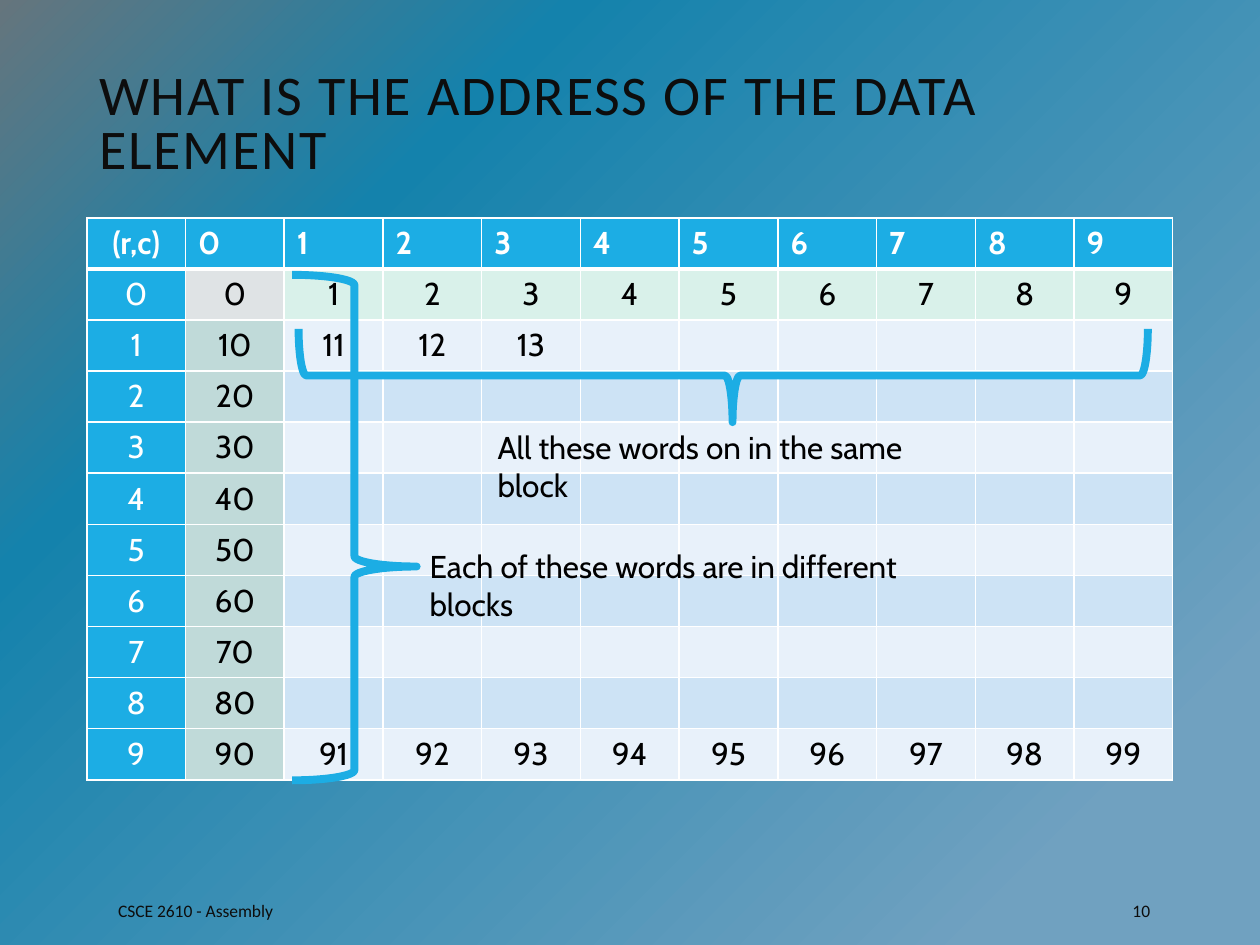
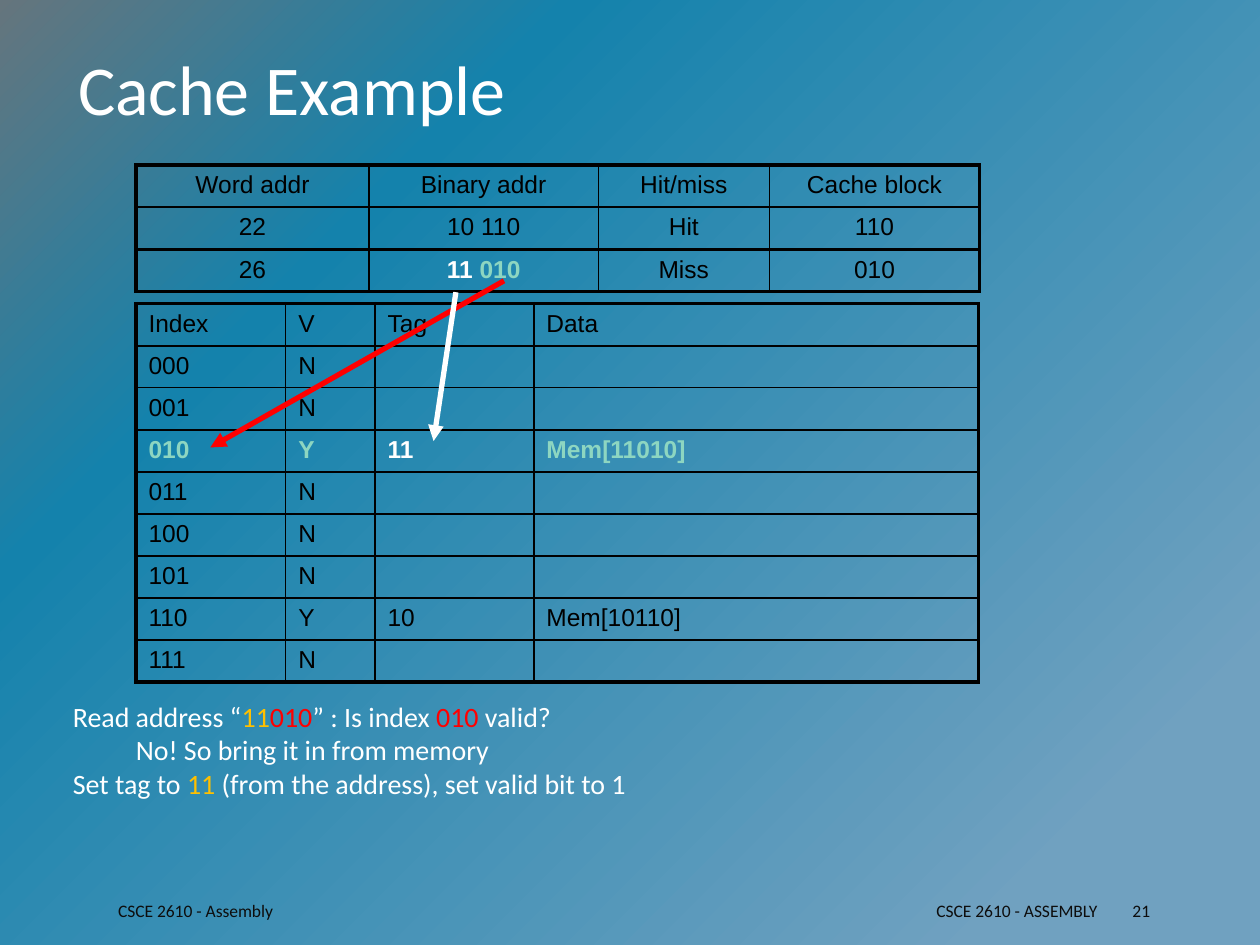
"""Build two slides on matrix addresses and a cache lookup example."""
from lxml.etree import SubElement
from pptx import Presentation
from pptx.dml.color import RGBColor
from pptx.enum.shapes import MSO_CONNECTOR as CONN, MSO_SHAPE as SHAPE
from pptx.enum.text import MSO_ANCHOR as ANCHOR, MSO_AUTO_SIZE as AUTO, PP_ALIGN as ALIGN
from pptx.oxml import parse_xml
from pptx.oxml.ns import nsdecls, qn
from pptx.util import Cm, Pt

COLORS = {
    "white": "FFFFFF", "black": "000000", "ink": "0D0D0D", "accent": "1CADE4",
    "first": "DFE3E5", "column": "C0DAD9", "row": "D9F1EA",
    "light": "E8F1FA", "dark": "CDE3F5",
    "mint": "8DD6C1", "gold": "FFC000", "red": "FF0000",
}
BACKGROUND = [(13, "70A1C0"), (74, "1482AC"), (100, "65757D")]
FOOTER = "CSCE 2610 - Assembly"

SIZE = 10
FILLED = {0: SIZE, 1: 4, 9: SIZE}
NOTES = [
    ("All these words on in the same block", (9.78, 8.51, 10.06, 1.02)),
    ("Each of these words are in different blocks", (8.41, 10.9, 11.53, 1.02)),
]
BRACES = [
    ((13.64, -0.99, 1.88, 17.12), 270, 0.511),
    ((5.89, 5.54, 2.51, 10.19), 180, 0.423),
]

ACCESSES = [
    ["Word addr", "Binary addr", "Hit/miss", "Cache block"],
    ["22", "10 110", "Hit", "110"],
    ["26", [("11 ", "white", True), ("010", "mint", True)], "Miss", "010"],
]
CACHE = [
    ["Index", "V", "Tag", "Data"],
    ["000", "N", "", ""],
    ["001", "N", "", ""],
    [[("010", "mint", True)], [("Y", "mint", True)],
     [("11", "white", True)], [("Mem[11010]", "mint", True)]],
    ["011", "N", "", ""],
    ["100", "N", "", ""],
    ["101", "N", "", ""],
    ["110", "Y", "10", "Mem[10110]"],
    ["111", "N", "", ""],
]
STEPS = [
    (0, [("Read address “", "white"), ("11", "gold"), ("010", "red"),
         ("” : Is index ", "white"), ("010", "red"), (" valid?", "white")]),
    (1.27, [("No! So bring it in from memory", "white")]),
    (0, [("Set tag to ", "white"), ("11", "gold"),
         (" (from the address), set valid bit to 1", "white")]),
]
ARROWS = [("red", (10.16, 5.66, 4.24, 9.02)), ("white", (9.19, 5.89, 8.74, 8.89))]


def rgb(name):
    return RGBColor.from_string(COLORS[name])


def cm(values):
    return [Cm(v) for v in values]


def write(p, content, size, font, color, bold=False, align=ALIGN.LEFT):
    """Fill a paragraph from a string or a list of (text, color, bold) runs."""
    p.alignment = align
    runs = [(content, color, bold)] if isinstance(content, str) else content
    for text, tint, *strong in runs:
        if not text:
            p._p.get_or_add_endParaRPr().set("sz", str(size * 100))
            continue
        r = p.add_run()
        r.text = text
        r.font.size, r.font.name = Pt(size), font
        r.font.bold = bool(strong and strong[0])
        r.font.color.rgb = rgb(tint)


def add_text(s, box, content, size, font, color, align=ALIGN.LEFT, anchor=ANCHOR.TOP):
    tf = s.shapes.add_textbox(*cm(box)).text_frame
    tf.word_wrap, tf.vertical_anchor = True, anchor
    write(tf.paragraphs[0], content, size, font, color, align=align)
    return tf


def add_title(s, text, box, size, color, anchor):
    sp = s.shapes.title
    sp.left, sp.top, sp.width, sp.height = cm(box)
    tf = sp.text_frame
    tf.auto_size, tf.vertical_anchor = AUTO.NONE, anchor
    write(tf.paragraphs[0], text, size, "Calibri", color)
    return tf.paragraphs[0]


def add_slide(prs, number, middle=""):
    s = prs.slides.add_slide(prs.slide_layouts[5])
    parts = [(FOOTER, 2.13, 4.5, ALIGN.LEFT), (middle, 10.08, 12.29, ALIGN.RIGHT),
             (str(number), 22.58, 2.03, ALIGN.LEFT)]
    for text, left, width, align in parts:
        if text:
            add_text(s, (left, 17.98, width, 0.76), text, 10, "Calibri", "ink",
                     align, ANCHOR.MIDDLE)
    return s


def add_grid(s, left, top, widths, row_height, rows):
    box = cm((left, top, sum(widths), row_height * rows))
    tbl = s.shapes.add_table(rows, len(widths), *box).table
    tbl.first_row = tbl.horz_banding = False
    for col, width in zip(tbl.columns, widths):
        col.width = Cm(width)
    for row in tbl.rows:
        row.height = Cm(row_height)
    return tbl


def set_borders(cell, color, **widths):
    tcPr = cell._tc.get_or_add_tcPr()
    for side in "LRTB":
        ln = SubElement(tcPr, qn(f"a:ln{side}"), w=str(Pt(widths[side])))
        fill = SubElement(ln, qn("a:solidFill"))
        SubElement(fill, qn("a:srgbClr"), val=COLORS[color])


def set_fill(cell, color):
    cell.fill.solid()
    cell.fill.fore_color.rgb = rgb(color)


def address_fill(r, c):
    if r < 0 or c < 0:
        return "accent"
    if c == 0:
        return "column" if r else "first"
    if r == 0:
        return "row"
    return "light" if r % 2 or r == SIZE - 1 else "dark"


def address_text(r, c):
    if r < 0:
        return str(c) if c >= 0 else "(r,c)"
    if c < 0:
        return str(r)
    return str(SIZE * r + c) if c < FILLED.get(r, 1) else ""


def add_address_table(s):
    tbl = add_grid(s, 1.75, 4.39, [1.99] * (SIZE + 1), 1.03, SIZE + 1)
    for r in range(-1, SIZE):
        for c in range(-1, SIZE):
            cell = tbl.cell(r + 1, c + 1)
            head = r < 0
            color = "white" if head or c < 0 else "black"
            align = ALIGN.LEFT if head and c >= 0 else ALIGN.CENTER
            write(cell.text_frame.paragraphs[0], address_text(r, c), 18, "Cabin",
                  color, head, align)
            set_borders(cell, "white", L=1, R=1, T=3 if r == 0 else 1, B=3 if head else 1)
            set_fill(cell, address_fill(r, c))


def add_cache_table(s, top, widths, row_height, rows, inner, align):
    tbl = add_grid(s, 2.74, top, widths, row_height, len(rows))
    last_row, last_col = len(rows) - 1, len(widths) - 1
    outer, head = 2.25, 1.5
    for i, row in enumerate(rows):
        for j, content in enumerate(row):
            cell = tbl.cell(i, j)
            write(cell.text_frame.paragraphs[0], content, 14, "Arial", "black", align=align)
            set_borders(cell, "black",
                        L=1 if j else outer,
                        R=outer if j == last_col else 1,
                        T={0: outer, 1: head}.get(i, inner),
                        B=outer if i == last_row else inner if i else head)
            cell.fill.background()


def add_brace(s, box, rotation, tip):
    sp = s.shapes.add_shape(SHAPE.LEFT_BRACE, *cm(box))
    sp.rotation = rotation
    sp.adjustments[0], sp.adjustments[1] = 0.083, tip
    sp.shadow.inherit = False
    sp.fill.background()
    sp.line.color.rgb, sp.line.width = rgb("accent"), Pt(4.5)


def add_arrow(s, color, ends):
    conn = s.shapes.add_connector(CONN.STRAIGHT, *cm(ends))
    conn.line.color.rgb, conn.line.width = rgb(color), Pt(3)
    spPr = conn._element.spPr
    SubElement(spPr.find(qn("a:ln")), qn("a:tailEnd"), type="triangle")
    SubElement(spPr, qn("a:effectLst"))


def set_background(master):
    master.background.fill.solid()
    solid = master._element.cSld.find(".//" + qn("p:bgPr")).find(qn("a:solidFill"))
    stops = "".join(f'<a:gs pos="{pos * 1000}"><a:srgbClr val="{color}"/></a:gs>'
                    for pos, color in BACKGROUND)
    solid.getparent().replace(solid, parse_xml(
        f'<a:gradFill {nsdecls("a")} rotWithShape="1"><a:gsLst>{stops}</a:gsLst>'
        '<a:path path="circle"><a:fillToRect l="100000" t="100000"/></a:path></a:gradFill>'))


def build_address_slide(prs):
    s = add_slide(prs, 10)
    p = add_title(s, "WHAT IS THE ADDRESS OF THE DATA ELEMENT",
                  (1.75, 1.02, 21.89, 3.07), 32, "ink", ANCHOR.MIDDLE)
    p.line_spacing = 0.8
    p.runs[0].font._element.set("spc", "100")
    add_address_table(s)
    for brace in BRACES:
        add_brace(s, *brace)
    for text, box in NOTES:
        add_text(s, box, text, 18, "Cabin", "black")


def build_cache_slide(prs):
    s = add_slide(prs, 21, FOOTER.upper())
    add_title(s, "Cache Example", (1.32, 0.79, 22.94, 2.11), 40, "white", ANCHOR.TOP)
    add_cache_table(s, 6.12, [3.02, 1.8, 3.2, 8.97], 0.79, CACHE, 1, ALIGN.LEFT)
    add_cache_table(s, 3.33, [4.7, 4.62, 3.45, 4.24], 0.85, ACCESSES, 1.5, ALIGN.CENTER)
    tf = add_text(s, (1.22, 13.97, 21.36, 2.31), STEPS[0][1], 16, "Calibri", "white")
    for indent, runs in STEPS[1:]:
        p = tf.add_paragraph()
        write(p, runs, 16, "Calibri", "white")
        p._p.get_or_add_pPr().set("marL", str(Cm(indent)))
    for arrow in ARROWS:
        add_arrow(s, *arrow)


def main():
    prs = Presentation()
    prs.slide_width, prs.slide_height = Cm(25.4), Cm(19.05)
    set_background(prs.slide_master)
    build_address_slide(prs)
    build_cache_slide(prs)
    prs.save("out.pptx")


if __name__ == "__main__":
    main()
